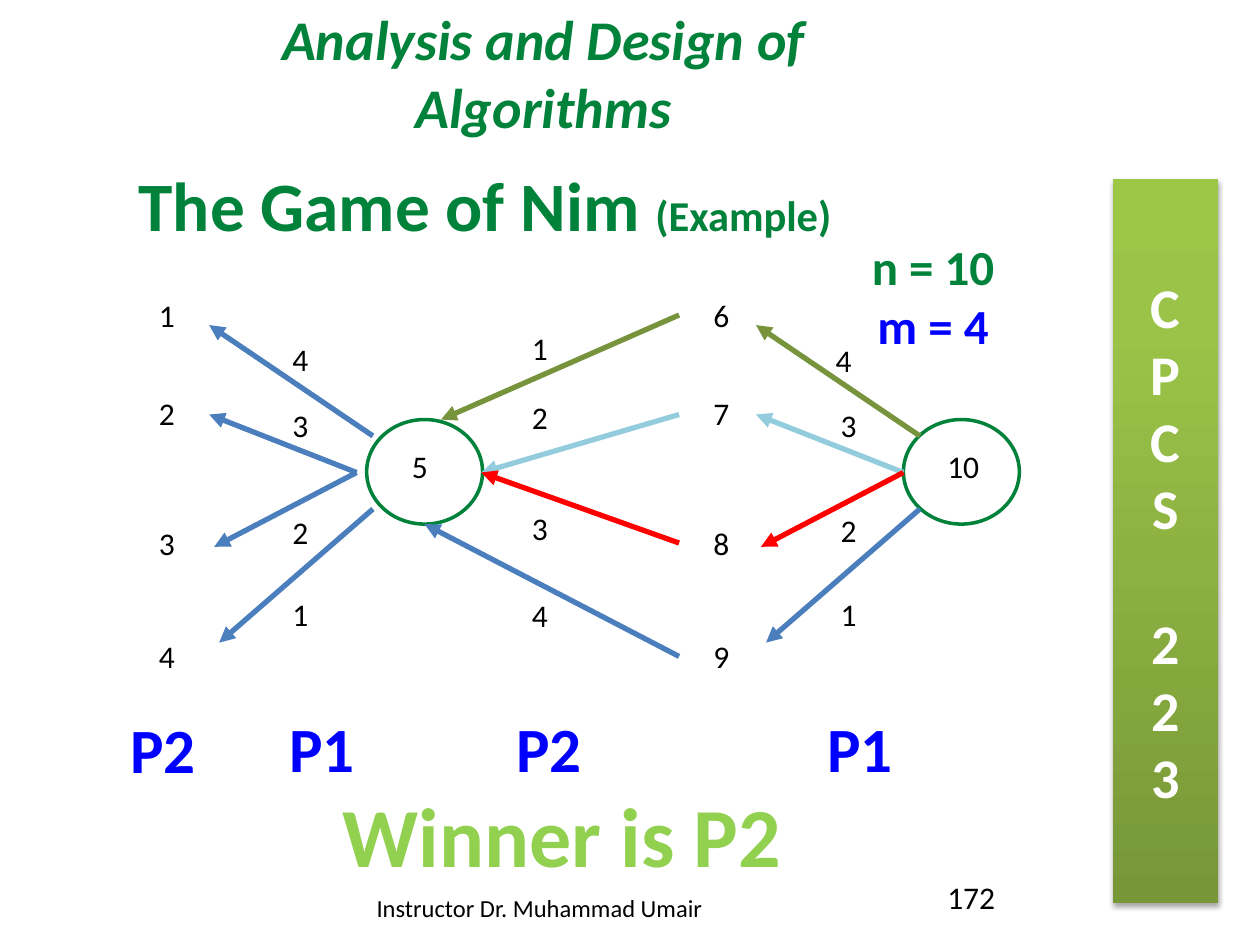
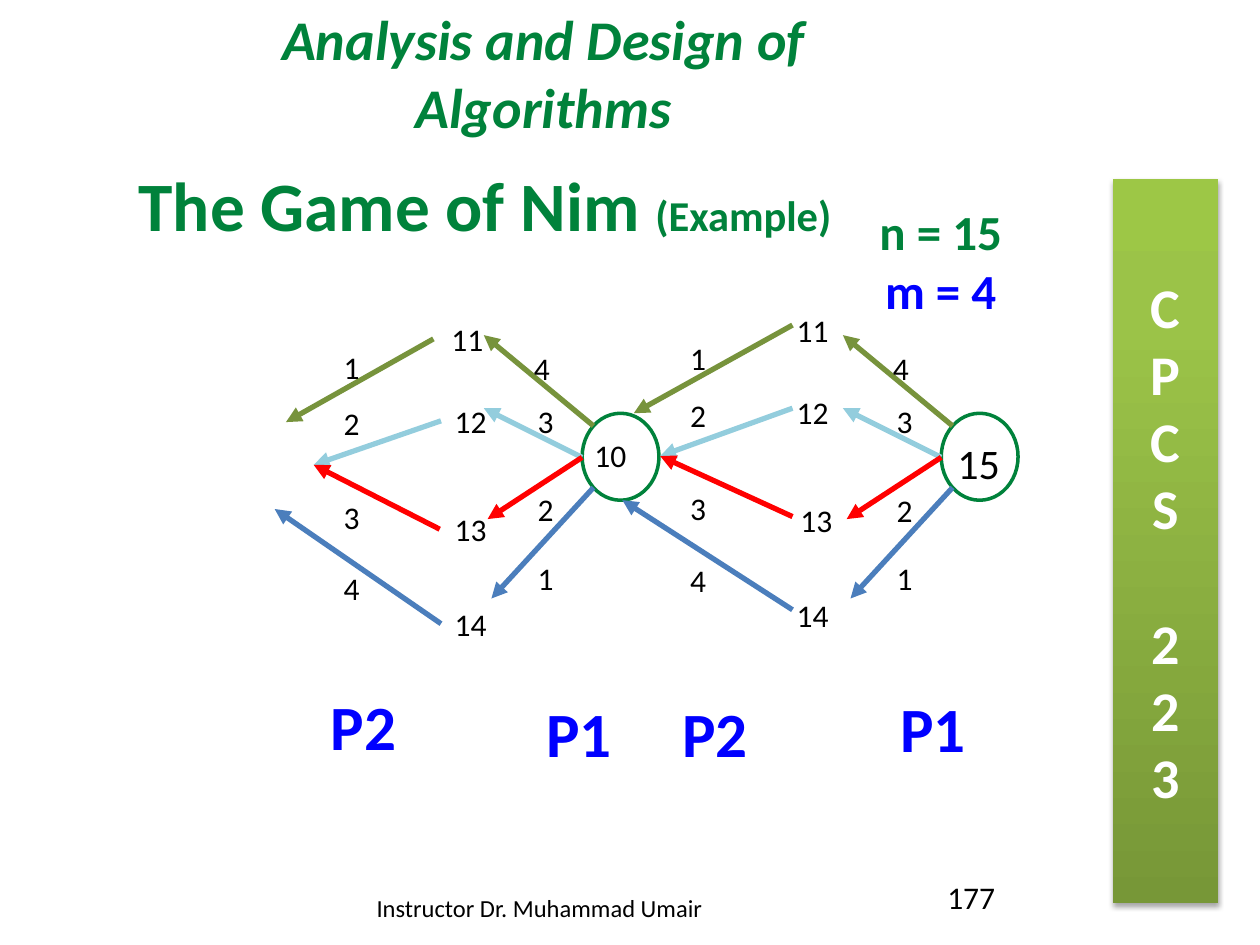
from copy import deepcopy
from lxml import etree
from pptx import Presentation, util as u
from pptx.dml.color import RGBColor
from pptx.enum import shapes, text
from pptx.oxml.ns import qn

PX = 9144  # 100 px to the inch
FONT = "Calibri"
HUES = {
    "black": "000000", "white": "FFFFFF", "green": "00823B", "blue": "0000FF",
    "lime": "92D050", "olive": "77933C", "sky": "93CDDD", "red": "FF0000",
    "steel": "4B7EBC", "deep": "779737", "leaf": "9BC348", "pale": "9DC746",
}
MOVES = ["olive", "sky", "red", "steel"]
MID = text.PP_ALIGN.CENTER
LEFT = text.PP_ALIGN.LEFT


def style(par, size, hue, bold=False, align=MID):
    par.alignment = align
    for run in par.runs:
        font = run.font
        font.name, font.size, font.bold = FONT, u.Pt(size), bold
        font.color.rgb = RGBColor.from_string(HUES[hue])


def put(slide, x, y, w, h, words, size=18, hue="black", bold=False, align=MID):
    box = slide.shapes.add_textbox(x * PX, y * PX, w * PX, h * PX)
    frame = box.text_frame
    frame.word_wrap = True
    frame.text = words
    for par in frame.paragraphs:
        style(par, size, hue, bold, align)
    return frame


# Labels: left, width, tops, words
# Fans: shift, colours, lines (from x, y, to x, y)
# Nodes: ellipse box, text box, words, size
OUT_10 = [(730, 346, 600, 258), (717, 375, 600, 329),
          (717, 375, 604, 434), (730, 404, 608, 510)]
OUT_15 = [(756, 338, 669, 266), (747, 363, 669, 324),
          (747, 363, 672, 412), (756, 387, 675, 475)]
ROWS = [230, 308, 411, 501]

GAMES = [
    {
        "page": "172", "rule": (656, 183, "n = 10\nm = 4"),
        "labels": [
            (99, 67, ROWS, "1 2 3 4"),
            (539, 67, ROWS, "6 7 8 9"),
            (205, 67, [265, 317, 402, 467], "4 3 2 1"),
            (395, 67, [256, 311, 399, 468], "1 2 3 4"),
            (636, 67, [266], "4"),
            (640, 67, [317, 401, 467], "3 2 1"),
        ],
        "fans": [
            (0, MOVES, OUT_10),
            (0, MOVES, [(539, 250, 350, 333), (539, 329, 382, 375),
                        (539, 431, 382, 375), (539, 521, 337, 416)]),
            (-434, ["steel"] * 4, OUT_10),
        ],
        "nodes": [
            ((717, 333, 92, 83), (742, 350, 50, 40), "10", 18),
            ((291, 333, 92, 83), (317, 350, 50, 40), "5", 18),
        ],
        "turns": [(89, 559, "P2"), (215, 558, "P1"), (395, 558, "P2"), (642, 558, "P1")],
        "winner": "Winner is P2",
    },
    {
        "page": "177", "rule": (662, 155, "n = 15\nm = 4"),
        "labels": [
            (617, 56, [242, 307], "11 12"),
            (623, 50, [393], "13"),
            (617, 56, [468], "14"),
            (344, 54, [249], "11"),
            (350, 47, [314, 400, 475], "12 13 14"),
            (693, 44, [272], "4"),
            (696, 44, [314, 385, 439], "3 2 1"),
            (532, 44, [264, 309, 383, 440], "1 2 3 4"),
            (408, 44, [272], "4"),
            (411, 44, [314, 384, 439], "3 2 1"),
            (257, 44, [271, 316, 390, 447], "1 2 3 4"),
        ],
        "fans": [
            (0, MOVES, OUT_15),
            (0, MOVES, [(629, 258, 503, 328), (629, 324, 524, 362),
                        (629, 410, 524, 362), (629, 484, 494, 397)]),
            (-285, MOVES, OUT_15),
            (0, MOVES, [(344, 269, 227, 335), (350, 334, 249, 369),
                        (349, 420, 249, 369), (350, 495, 218, 404)]),
        ],
        "nodes": [
            ((747, 328, 61, 69), (750, 342, 57, 50), "15", 24),
            ((462, 328, 61, 69), (462, 341, 50, 41), "10", 18),
        ],
        "turns": [(248, 541, "P2"), (419, 546, "P1"), (527, 546, "P2"), (700, 542, "P1")],
        "winner": "",
    },
]

deck = Presentation()
deck.slide_width, deck.slide_height = 1000 * PX, 750 * PX

for game in GAMES:
    slide = deck.slides.add_slide(deck.slide_layouts[5])

    # Footer and course name
    put(slide, 289, 704, 285, 34, "Instructor Dr. Muhammad Umair", 14, align=LEFT)
    course = put(slide, 115, -1, 633, 118, "Analysis and Design of Algorithms", 32, "green", True)
    course.paragraphs[0].runs[0].font.italic = True
    put(slide, 742, 692, 67, 40, game["page"], align=LEFT)

    # Course code band
    band = slide.shapes.add_shape(shapes.MSO_SHAPE.RECTANGLE, 883 * PX, 142 * PX, 84 * PX, 575 * PX)
    band.line.fill.background()
    band.fill.gradient()
    band.fill.gradient_angle = 90
    last = list(band._element.spPr.iter(qn("a:gs")))[-1]
    last.addnext(deepcopy(last))
    for stop, (spot, hue) in zip(band.fill.gradient_stops, [(0, "deep"), (0.8, "leaf"), (1, "pale")]):
        stop.position = spot
        stop.color.rgb = RGBColor.from_string(HUES[hue])
    band.shadow.inherit = False
    glow = etree.SubElement(band._element.spPr.find(qn("a:effectLst")), qn("a:outerShdw"),
                            blurRad="39370", dist="22860", dir="5400000", rotWithShape="0")
    tint = etree.SubElement(glow, qn("a:srgbClr"), val=HUES["black"])
    etree.SubElement(tint, qn("a:alpha"), val="35000")
    frame = band.text_frame
    frame.text = "CPCS 223"
    frame.vertical_anchor = text.MSO_ANCHOR.MIDDLE
    frame._txBody.bodyPr.set("vert", "wordArtVert")
    style(frame.paragraphs[0], 32, "white", True)

    # Title
    title = slide.shapes.title
    title.left, title.top, title.width, title.height = 100 * PX, 133 * PX, 683 * PX, 58 * PX
    frame = title.text_frame
    frame.vertical_anchor = text.MSO_ANCHOR.MIDDLE
    frame.auto_size = text.MSO_AUTO_SIZE.NONE
    par = frame.paragraphs[0]
    par.text = "The Game of Nim "
    par.add_run().text = "(Example)"
    style(par, 39.6, "green", True, LEFT)
    par.runs[1].font.size = u.Pt(24.3)

    # Nodes
    for oval, spot, words, size in game["nodes"]:
        node = slide.shapes.add_shape(shapes.MSO_SHAPE.OVAL, *[n * PX for n in oval])
        node.shadow.inherit = False
        node.fill.background()
        node.line.color.rgb = RGBColor.from_string(HUES["green"])
        node.line.width = u.Pt(2)
        put(slide, *spot, words, size, align=LEFT)

    # Arrows
    for shift, hues, lines in game["fans"]:
        for hue, (x1, y1, x2, y2) in zip(hues, lines):
            arrow = slide.shapes.add_connector(
                shapes.MSO_CONNECTOR.STRAIGHT,
                (x1 + shift) * PX, y1 * PX, (x2 + shift) * PX, y2 * PX)
            arrow.line.color.rgb = RGBColor.from_string(HUES[hue])
            arrow.line.width = u.Pt(3)
            etree.SubElement(arrow.line._get_or_add_ln(), qn("a:tailEnd"), type="triangle")
            etree.SubElement(arrow._element.spPr, qn("a:effectLst"))

    # Piles and move sizes
    for x, w, tops, words in game["labels"]:
        for y, word in zip(tops, words.split()):
            put(slide, x, y, w, 40, word)

    # Turns, rule and winner
    for x, y, name in game["turns"]:
        put(slide, x, y, 81, 71, name, 36, "blue", True)
    x, y, words = game["rule"]
    rule = put(slide, x, y, 169, 104, words, 28, "green", True)
    style(rule.paragraphs[1], 28, "blue", True)
    if game["winner"]:
        put(slide, 175, 617, 542, 91, game["winner"], 48, "lime", True)

deck.save("out.pptx")
